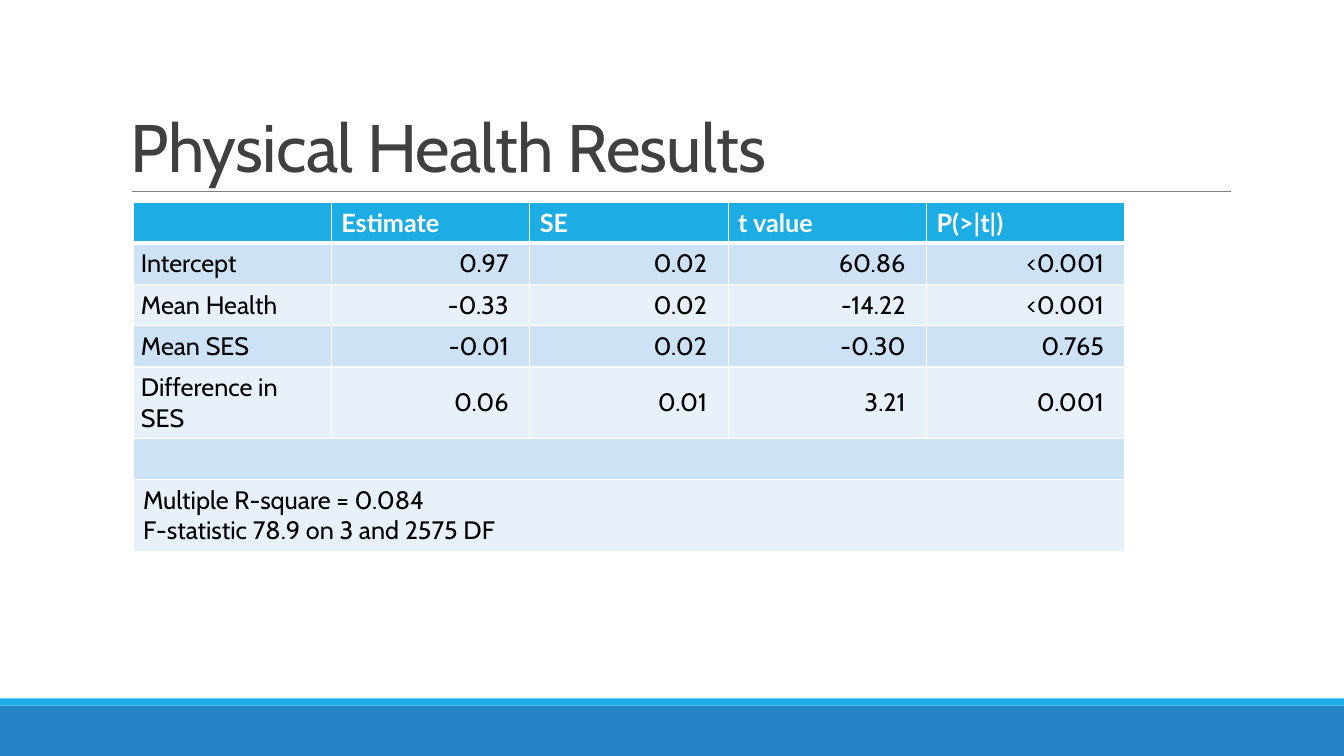
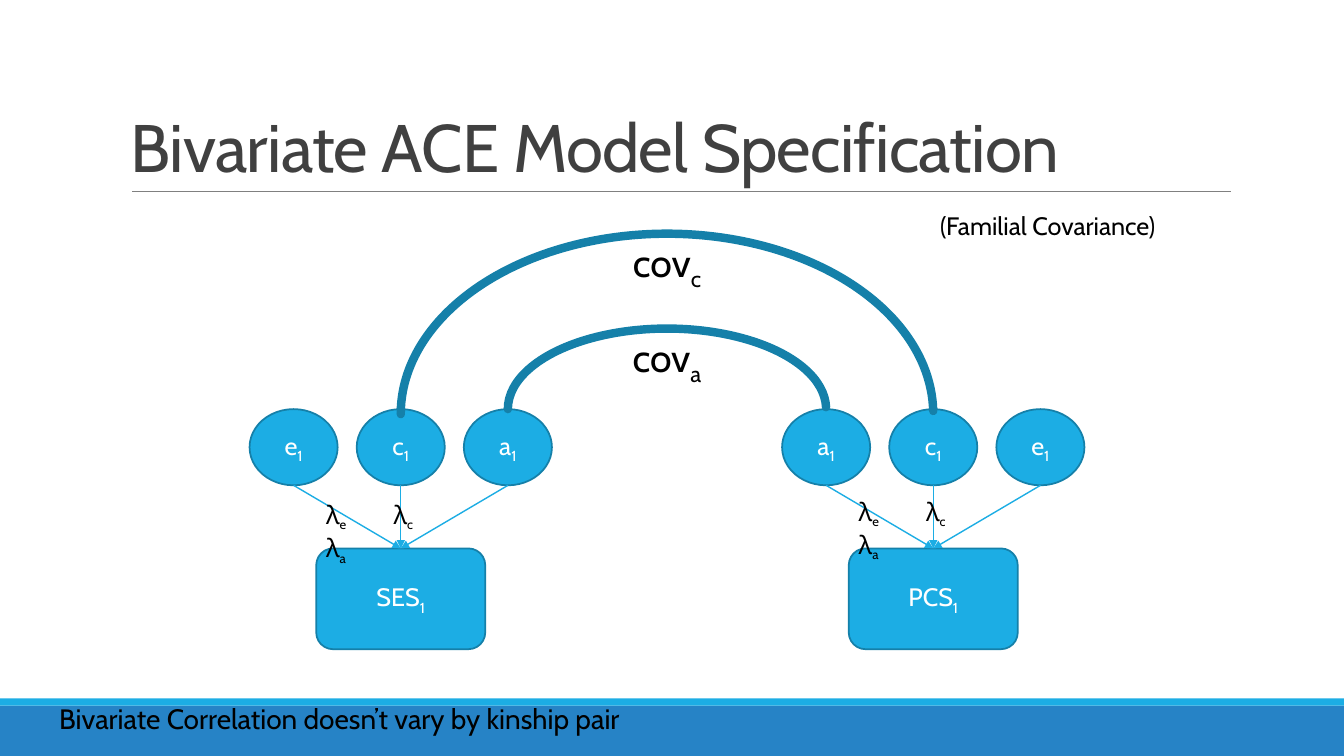
from lxml.etree import SubElement
from pptx import Presentation
from pptx.dml.color import RGBColor
from pptx.enum.shapes import MSO_CONNECTOR, MSO_SHAPE
from pptx.enum.text import MSO_ANCHOR, PP_ALIGN
from pptx.oxml.ns import qn
from pptx.util import Cm, Pt

C = {
    "band": "2683C6", "accent": "1CADE4", "edge": "1580A9", "rule": "808080",
    "title": "404040", "text": "000000", "white": "FFFFFF",
    "dark_row": "CDE3F5", "light_row": "E8F1FA",
}


def write(tf, *paras, size=18, sub_size=None, color="text", font="Cabin", bold=False,
          align=PP_ALIGN.LEFT, anchor=MSO_ANCHOR.TOP, spacing=None, track=None, tab=None):
    tf.word_wrap = True
    tf.vertical_anchor = anchor
    for i, para in enumerate(paras):
        p = tf.paragraphs[0] if i == 0 else tf.add_paragraph()
        p.alignment = align
        if spacing:
            p.line_spacing = spacing
        if tab:
            tabs = SubElement(p._p.get_or_add_pPr(), qn("a:tabLst"))
            SubElement(tabs, qn("a:tab"), pos=str(tab), algn="l")
        for j, text in enumerate(para.split("~")):
            r = p.add_run()
            r.text = text
            r.font.size = Pt(sub_size if j % 2 and sub_size else size)
            r.font.name = font
            r.font.bold = bold
            r.font.color.rgb = RGBColor.from_string(C[color])
            if j % 2:
                r.font._element.set("baseline", "-25000")
            if track:
                r.font._element.set("spc", str(track))


def draw(s, kind, x, y, w, h, fill="accent", line=None, width=1.25):
    sp = s.shapes.add_shape(kind, Cm(x), Cm(y), Cm(w), Cm(h))
    sp.shadow.inherit = False
    sp.fill.solid()
    sp.fill.fore_color.rgb = RGBColor.from_string(C[fill])
    if line:
        sp.line.color.rgb = RGBColor.from_string(C[line])
        sp.line.width = Pt(width)
    else:
        sp.line.fill.background()
    return sp


prs = Presentation()
prs.slide_width = Cm(33.87)
prs.slide_height = Cm(19.05)

for title in ("Physical Health Results", "Bivariate ACE Model Specification"):
    s = prs.slides.add_slide(prs.slide_layouts[6])
    draw(s, MSO_SHAPE.RECTANGLE, 0, 17.78, 33.87, 1.27, "band")
    draw(s, MSO_SHAPE.RECTANGLE, 0, 17.6, 33.87, 0.18)
    rule = s.shapes.add_connector(MSO_CONNECTOR.STRAIGHT, Cm(3.33), Cm(4.83), Cm(31.01), Cm(4.83))
    rule.line.color.rgb = RGBColor.from_string(C["rule"])
    rule.line.width = Pt(0.5)
    SubElement(rule.element.spPr, qn("a:effectLst"))
    tb = s.shapes.add_textbox(Cm(3.05), Cm(0.79), Cm(27.94), Cm(4.04))
    write(tb.text_frame, title, size=48, color="title", anchor=MSO_ANCHOR.BOTTOM,
          spacing=0.85, track=-50)

results, model = prs.slides

rows = [
    ["", "Estimate", "SE", "t value", "P(>|t|)"],
    ["Intercept", "0.97", "0.02", "60.86", "<0.001"],
    ["Mean Health", "-0.33", "0.02", "-14.22", "<0.001"],
    ["Mean SES", "-0.01", "0.02", "-0.30", "0.765"],
    ["Difference in SES", "0.06", "0.01", "3.21", "0.001"],
    [""] * 5,
    ["Multiple R-square = 0.084\nF-statistic 78.9 on 3 and 2575 DF"] + [""] * 4,
]
heights = [1, 1.04, 1.04, 1.04, 1.8, 1.04, 1.8]
table = results.shapes.add_table(len(rows), 5, Cm(3.35), Cm(5.11), Cm(25), Cm(sum(heights))).table
for col in table.columns:
    col.width = Cm(5)
for i, (row, height) in enumerate(zip(rows, heights)):
    table.rows[i].height = Cm(height)
    if i >= 5:
        table.cell(i, 0).merge(table.cell(i, 4))
    for j, text in enumerate(row):
        cell = table.cell(i, j)
        tcPr = cell._tc.get_or_add_tcPr()
        for side in "LRTB":
            thick = (side == "B" and i == 0) or (side == "T" and i == 1)
            ln = SubElement(tcPr, qn(f"a:ln{side}"), w=str(Pt(3 if thick else 1)))
            SubElement(SubElement(ln, qn("a:solidFill")), qn("a:srgbClr"), val=C["white"])
        cell.fill.solid()
        fill = "accent" if i == 0 else "dark_row" if i % 2 else "light_row"
        cell.fill.fore_color.rgb = RGBColor.from_string(C[fill])
        if 1 <= i <= 4:
            cell.margin_left, cell.margin_right = Cm(0.2), Cm(0.53)
            cell.vertical_anchor = MSO_ANCHOR.MIDDLE
        if not text:
            continue
        if i == 0:
            fmt = dict(font="Lato", color="white", bold=True)
        else:
            fmt = dict(align=PP_ALIGN.RIGHT if j else PP_ALIGN.LEFT)
        write(cell.text_frame, *text.split("\n"), anchor=cell.vertical_anchor, **fmt)

left, right, gap = 10.1, 23.52, 2.7
node_w, node_h, node_y = 2.22, 1.92, 10.31
box_w, box_h, box_y = 4.26, 2.54, 13.82
label = dict(color="white", align=PP_ALIGN.CENTER, anchor=MSO_ANCHOR.MIDDLE)

for name, cx, factors, lambda_y in (("SES", left, "eca", 12.45), ("PCS", right, "ace", 12.37)):
    box = draw(model, MSO_SHAPE.ROUNDED_RECTANGLE, cx - box_w / 2, box_y, box_w, box_h, line="edge")
    write(box.text_frame, f"{name}~1", **label)
    for i, factor in enumerate(factors):
        x = cx + (i - 1) * gap
        node = draw(model, MSO_SHAPE.OVAL, x - node_w / 2, node_y, node_w, node_h, line="edge")
        write(node.text_frame, f"{factor}~1", **label)
        arrow = model.shapes.add_connector(
            MSO_CONNECTOR.STRAIGHT, Cm(x), Cm(node_y + node_h), Cm(cx), Cm(box_y))
        arrow.end_connect(box, 0)
        arrow.line.color.rgb = RGBColor.from_string(C["accent"])
        arrow.line.width = Pt(1)
        SubElement(arrow.element.spPr.find(qn("a:ln")), qn("a:tailEnd"), type="triangle")
        SubElement(arrow.element.spPr, qn("a:effectLst"))
    tb = model.shapes.add_textbox(Cm(cx - box_w / 2), Cm(lambda_y), Cm(box_w), Cm(1.27))
    write(tb.text_frame, "λ~e~\tλ~c", "λ~a", sub_size=16, tab=Cm(1.7))

for factor, inset, y, h in (("a", gap, 8.28, 4.06), ("c", 0, 5.89, 9.09)):
    arc = draw(model, MSO_SHAPE.BLOCK_ARC, left + inset, y, right - left - 2 * inset, h,
               line="edge", width=6)
    for i, value in enumerate((108, 215.59, 0)):
        arc.adjustments[i] = value
    write(arc.text_frame, f"cov~{factor}", size=28, align=PP_ALIGN.CENTER)

for text, x, y, w, h, size in (
    ("(Familial Covariance)", 23.44, 5.18, 6.35, 1.02, 18),
    ("Bivariate Correlation doesn’t vary by kinship pair", 1.24, 17.55, 15.09, 1.12, 20),
):
    tb = model.shapes.add_textbox(Cm(x), Cm(y), Cm(w), Cm(h))
    write(tb.text_frame, text, size=size)

prs.save("out.pptx")
